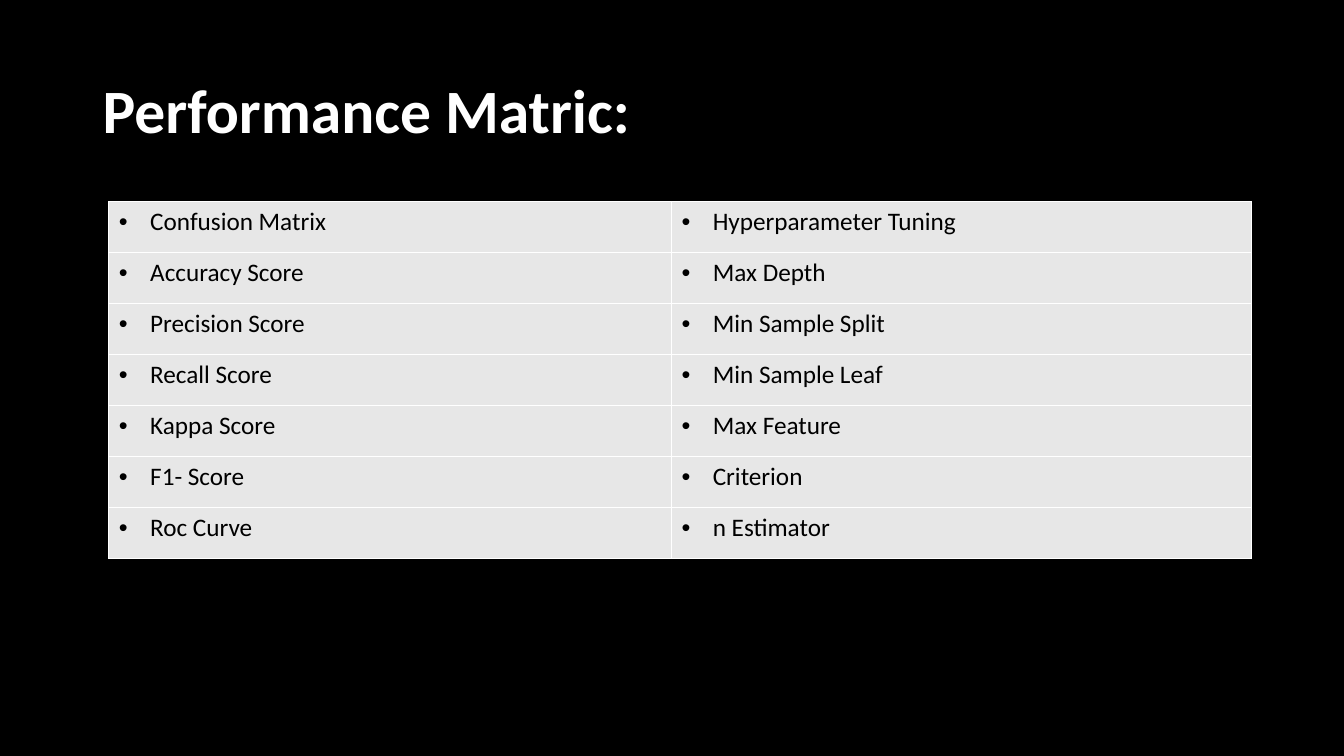
from lxml.etree import SubElement
from pptx import Presentation
from pptx.dml.color import RGBColor
from pptx.enum.text import MSO_ANCHOR
from pptx.oxml.ns import qn
from pptx.util import Inches, Pt

COLORS = {"background": "000000", "title": "FFFFFF", "cell": "E7E7E7",
          "text": "000000", "border": "FFFFFF"}
FORMATS = {"title": {"name": "Calibri", "size": Pt(44), "bold": True},
           "text": {"name": "Calibri", "size": Pt(18), "bold": False}}
METRICS = [
    ("Confusion Matrix", "Hyperparameter Tuning"),
    ("Accuracy Score", "Max Depth"),
    ("Precision Score", "Min Sample Split"),
    ("Recall Score", "Min Sample Leaf"),
    ("Kappa Score", "Max Feature"),
    ("F1- Score", "Criterion"),
    ("Roc Curve", "n Estimator"),
]
COLUMN_WIDTHS = [Inches(5.58), Inches(5.75)]
ROW_HEIGHT = Inches(0.506)
INDENT = Inches(0.31)


def write(paragraph, wording, role):
    run = paragraph.add_run()
    run.text = wording
    for attribute, value in FORMATS[role].items():
        setattr(run.font, attribute, value)
    run.font.color.rgb = RGBColor.from_string(COLORS[role])


deck = Presentation()
deck.slide_width, deck.slide_height = Inches(13.33), Inches(7.5)
slide = deck.slides.add_slide(deck.slide_layouts[6])
slide.background.fill.solid()
slide.background.fill.fore_color.rgb = RGBColor.from_string(COLORS["background"])

heading = slide.shapes.add_textbox(
    Inches(0.92), Inches(0.4), Inches(11.5), Inches(1.45)).text_frame
heading.word_wrap = True
heading.vertical_anchor = MSO_ANCHOR.MIDDLE
heading.paragraphs[0].line_spacing = 0.9
write(heading.paragraphs[0], "Performance Matric:", "title")

metrics = slide.shapes.add_table(
    len(METRICS), len(COLUMN_WIDTHS), Inches(1.08), Inches(2),
    sum(COLUMN_WIDTHS), ROW_HEIGHT * len(METRICS)).table
metrics.first_row = metrics.horz_banding = False
for column, width in zip(metrics.columns, COLUMN_WIDTHS):
    column.width = width

for row, wordings in enumerate(METRICS):
    metrics.rows[row].height = ROW_HEIGHT
    for column, wording in enumerate(wordings):
        cell = metrics.cell(row, column)
        paragraph = cell.text_frame.paragraphs[0]
        write(paragraph, wording, "text")
        bullet = paragraph._p.get_or_add_pPr()
        bullet.set("marL", str(INDENT))
        bullet.set("indent", str(-INDENT))
        SubElement(bullet, qn("a:buFont"), typeface="Arial")
        SubElement(bullet, qn("a:buChar"), char="•")

        borders = cell._tc.get_or_add_tcPr()
        for side in ("lnL", "lnR", "lnT", "lnB"):
            border = SubElement(borders, qn(f"a:{side}"), w=str(Pt(1)))
            paint = SubElement(border, qn("a:solidFill"))
            SubElement(paint, qn("a:srgbClr"), val=COLORS["border"])
        cell.fill.solid()
        cell.fill.fore_color.rgb = RGBColor.from_string(COLORS["cell"])

deck.save("out.pptx")
